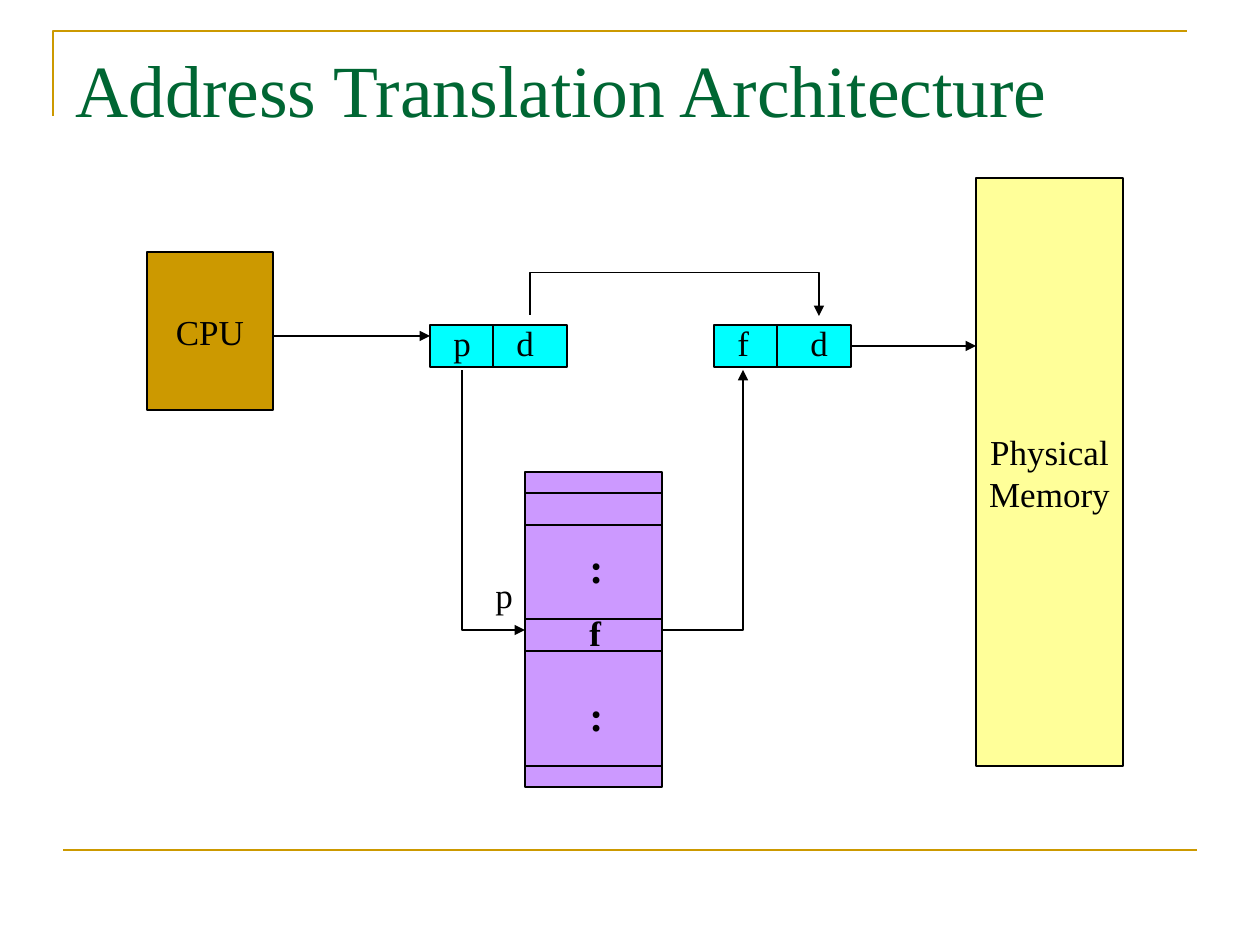
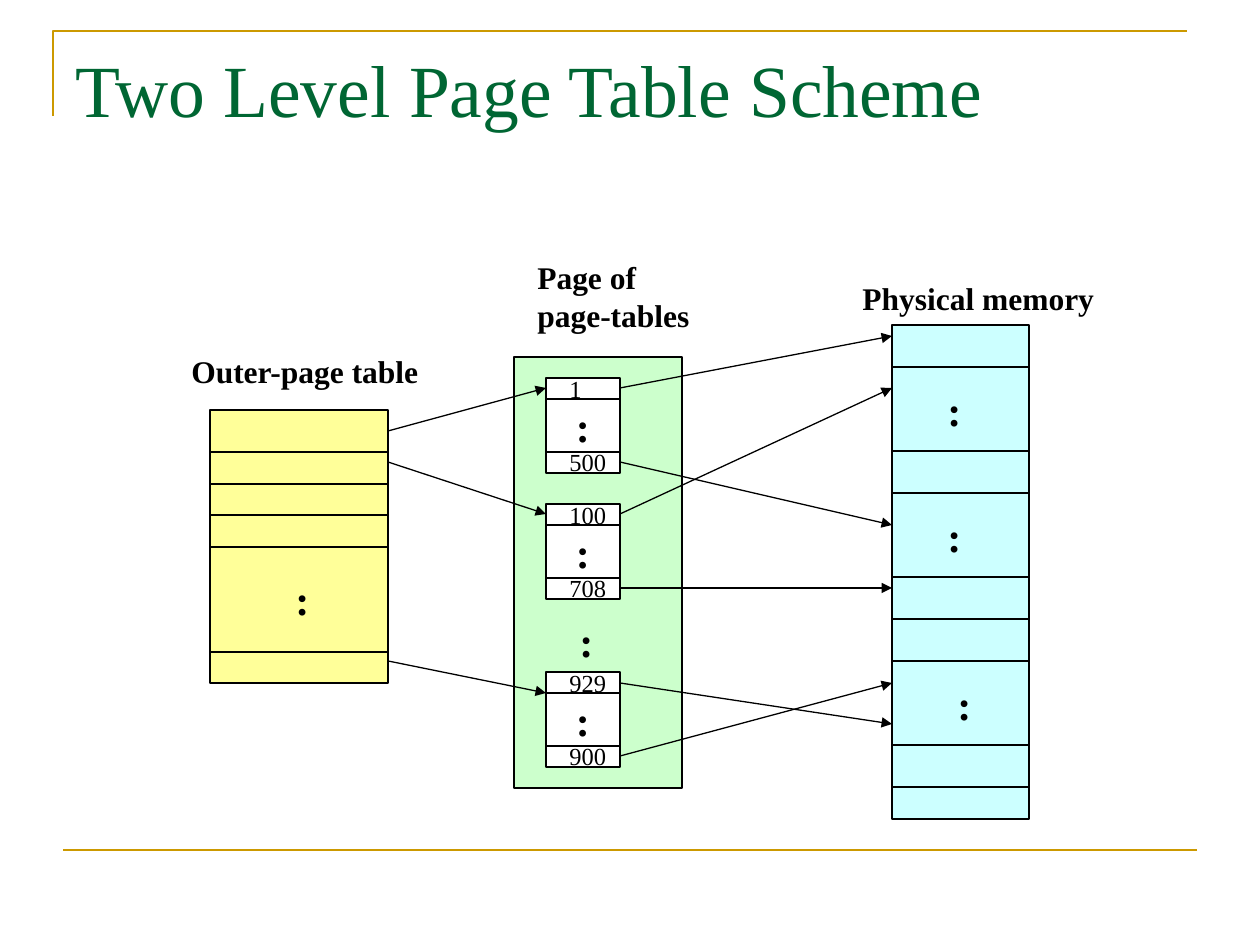
from dataclasses import dataclass
from pptx import Presentation
from pptx.dml.color import RGBColor
from pptx.enum.shapes import MSO_CONNECTOR, MSO_SHAPE
from pptx.enum.text import MSO_ANCHOR, MSO_AUTO_SIZE, PP_ALIGN
from pptx.oxml.ns import qn
from pptx.oxml.xmlchemy import OxmlElement
from pptx.util import Emu, Pt

SCALE = 914400 / 126  # EMU in one pixel


@dataclass(frozen=True)
class Theme:
    font: str = "Times New Roman"
    ink: str = "000000"
    title: str = "006633"
    gold: str = "CC9900"
    yellow: str = "FFFF99"
    cyan: str = "00FFFF"
    purple: str = "CC99FF"
    green: str = "CCFFCC"
    pale: str = "CCFFFF"
    white: str = "FFFFFF"
    head: int = 42
    dots: int = 24
    text: int = 20
    name: int = 18
    small: int = 14
    thin: float = 0.75
    thick: float = 1.5


T = Theme()


@dataclass(frozen=True)
class Box:
    x: float
    y: float
    w: float
    h: float

    def sub(self, x, y, w, h):
        return Box(self.x + x, self.y + y, w, h)

    def spot(self, x, y):
        return self.x + x, self.y + y

    def emu(self):
        return [px(v) for v in (self.x, self.y, self.w, self.h)]


def px(value):
    return Emu(round(value * SCALE))


def rgb(code):
    return RGBColor.from_string(code)


# Basic parts
def write(frame, text, size, bold=False, align=PP_ALIGN.LEFT, color=T.ink):
    frame.text = text
    for para in frame.paragraphs:
        para.alignment = align
        font = para.font
        font.name, font.size, font.bold = T.font, Pt(size), bold
        font.color.rgb = rgb(color)


def rect(slide, box, fill, text="", size=T.text, bold=False):
    shape = slide.shapes.add_shape(MSO_SHAPE.RECTANGLE, *box.emu())
    shape.shadow.inherit = False
    shape.fill.solid()
    shape.fill.fore_color.rgb = rgb(fill)
    shape.line.color.rgb = rgb(T.ink)
    shape.line.width = Pt(T.thin)
    if text:
        frame = shape.text_frame
        frame.word_wrap = False
        frame.vertical_anchor = MSO_ANCHOR.MIDDLE
        write(frame, text, size, bold, PP_ALIGN.CENTER)


def label(slide, spot, width, text, size=T.text, bold=False):
    lines = text.count("\n") + 1
    high = lines * size * 1.2 * 126 / 72 + 12.6
    frame = slide.shapes.add_textbox(*Box(*spot, width, high).emu()).text_frame
    frame.word_wrap = False
    frame.auto_size = MSO_AUTO_SIZE.SHAPE_TO_FIT_TEXT
    write(frame, text, size, bold)


def dots(slide, spot):
    label(slide, spot, 38, ":", T.dots, True)


def link(slide, start, end, kind=MSO_CONNECTOR.STRAIGHT, arrow=False,
         color=T.ink, width=T.thin):
    line = slide.shapes.add_connector(kind, *(px(v) for v in (*start, *end)))
    line.line.color.rgb = rgb(color)
    line.line.width = Pt(width)
    if arrow:
        tip = OxmlElement("a:tailEnd")
        tip.set("type", "triangle")
        line.line._get_or_add_ln().append(tip)
    line.element.spPr.append(OxmlElement("a:effectLst"))
    return line


def point(slide, start, end):
    link(slide, start, end, arrow=True)


def elbow(slide, start, end, turn=False, bend=None):
    """One corner, or two when bend (percent of the length) is given."""
    (x1, y1), (x2, y2) = start, end
    if turn:  # lay the line flat around its centre, then rotate it
        cx, cy = (x1 + x2) / 2, (y1 + y2) / 2
        dx, dy = (y2 - y1) / 2, (x2 - x1) / 2
        start, end = (cx - dx, cy - dy), (cx + dx, cy + dy)
    line = link(slide, start, end, MSO_CONNECTOR.ELBOW, True)
    props = line.element.spPr
    if turn:
        frame = props.find(qn("a:xfrm"))
        frame.set("rot", str(270 * 60000))
        frame.set("flipH", "1")
    shape = props.find(qn("a:prstGeom"))
    if bend is None:
        shape.set("prst", "bentConnector2")
    else:
        guide = OxmlElement("a:gd")
        guide.set("name", "adj1")
        guide.set("fmla", f"val {bend * 1000}")
        shape.find(qn("a:avLst")).append(guide)


def stack(slide, box, fill, cuts):
    rect(slide, box, fill)
    for cut in cuts:
        link(slide, box.spot(0, cut), box.spot(box.w, cut))


# Shared frame and title
def trim(slide, layout):
    """Draw the gold lines and hand them to the layout."""
    pen = slide.shapes.build_freeform(px(53), px(116))
    pen.add_line_segments([(px(53), px(31)), (px(1187), px(31))], close=False)
    angle = pen.convert_to_shape()
    angle.shadow.inherit = False
    angle.fill.background()
    angle.line.color.rgb = rgb(T.gold)
    angle.line.width = Pt(T.thick)
    base = link(slide, (63, 850), (1197, 850), color=T.gold, width=T.thick)
    for number, part in enumerate((angle, base), 100):
        part.element.xpath(".//p:cNvPr")[0].set("id", str(number))
        layout.shapes.element.append(part.element)


def title(slide, box, text):
    shape = slide.shapes.title
    shape.left, shape.top, shape.width, shape.height = box.emu()
    frame = shape.text_frame
    frame.vertical_anchor = MSO_ANCHOR.TOP
    frame.auto_size = MSO_AUTO_SIZE.NONE
    write(frame, text, T.head, color=T.title)


# Address translation
def pair(slide, box, left, right, shift):
    rect(slide, box, T.cyan)
    link(slide, box.spot(63, 0), box.spot(63, box.h))
    label(slide, box.spot(11, -10), 43 if left == "p" else 37, left)
    label(slide, box.spot(shift, -10), 43, right)


def table(slide, box):
    stack(slide, box, T.purple, (21, 53, 147, 179, 294))
    for y in (63, 211):
        dots(slide, box.spot(52, y))
    label(slide, box.spot(52, 133), 37, "f", bold=True)


def translate(slide, box):
    rect(slide, box.sub(0, 74, 126, 158), T.gold, "CPU")
    pair(slide, box.sub(283, 147, 137, 42), "p", "d", 74)
    pair(slide, box.sub(567, 147, 137, 42), "f", "d", 84)
    table(slide, box.sub(378, 294, 137, 315))
    rect(slide, box.sub(829, 0, 147, 588), T.yellow, "Physical\nMemory")
    label(slide, box.spot(336, 389), 43, "p")
    # Flow from the CPU to memory
    point(slide, box.spot(126, 158), box.spot(283, 158))
    elbow(slide, box.spot(315, 192), box.spot(378, 452), turn=True)
    elbow(slide, box.spot(515, 452), box.spot(596, 192))
    point(slide, box.spot(704, 168), box.spot(829, 168))
    elbow(slide, box.spot(383, 137), box.spot(672, 138), True, -4300)


# Two level page table
def outer(slide, box):
    stack(slide, box, T.yellow, (42, 74, 105, 137, 242))
    dots(slide, box.spot(73, 157))


def leaf(slide, box, first, last):
    rect(slide, box, T.white, ":", T.dots, True)
    for cut, text in ((21, first), (74, last)):
        link(slide, box.spot(0, cut), box.spot(box.w, cut))
        label(slide, box.spot(11, -10 if text == first else 63),
              26 + 12 * len(text), text, T.small)


def pages(slide, box):
    rect(slide, box, T.green)
    for y, first, last in ((21, "1", "500"), (147, "100", "708"),
                           (315, "929", "900")):
        leaf(slide, box.sub(32, y, 74, 95), first, last)
    dots(slide, box.spot(53, 252))


def memory(slide, box):
    stack(slide, box, T.pale, (42, 126, 168, 252, 294, 336, 420, 462))
    for x, y in ((43, 53), (43, 179), (53, 347)):
        dots(slide, box.spot(x, y))


def levels(slide, box):
    outer(slide, box.sub(31, 158, 178, 273))
    pages(slide, box.sub(335, 105, 168, 431))
    memory(slide, box.sub(713, 73, 137, 494))
    for x, y, width, text in ((0, 94, 253, "Outer-page table"),
                              (346, 0, 178, "Page of\npage-tables"),
                              (671, 21, 257, "Physical memory")):
        label(slide, box.spot(x, y), width, text, T.name, True)
    # Outer table to page tables, then page tables to memory
    hops = ((209, 367, ((179, 136), (210, 262), (409, 441))),
            (441, 713, ((136, 84), (210, 273), (262, 136),
                        (336, 336), (504, 431), (431, 472))))
    for left, right, rows in hops:
        for start, end in rows:
            point(slide, box.spot(left, start), box.spot(right, end))


def main():
    deck = Presentation()
    deck.slide_width, deck.slide_height = px(1260), px(945)
    layout = deck.slide_layouts[5]
    plan = (("Address Translation Architecture", translate,
             Box(147, 178, 977, 610)),
            ("Two Level Page Table Scheme", levels, Box(179, 252, 929, 568)))
    for number, (text, draw, box) in enumerate(plan):
        slide = deck.slides.add_slide(layout)
        if number == 0:
            trim(slide, layout)
        title(slide, Box(63, 38, 1134, 157), text)
        draw(slide, box)
    deck.save("out.pptx")


main()
